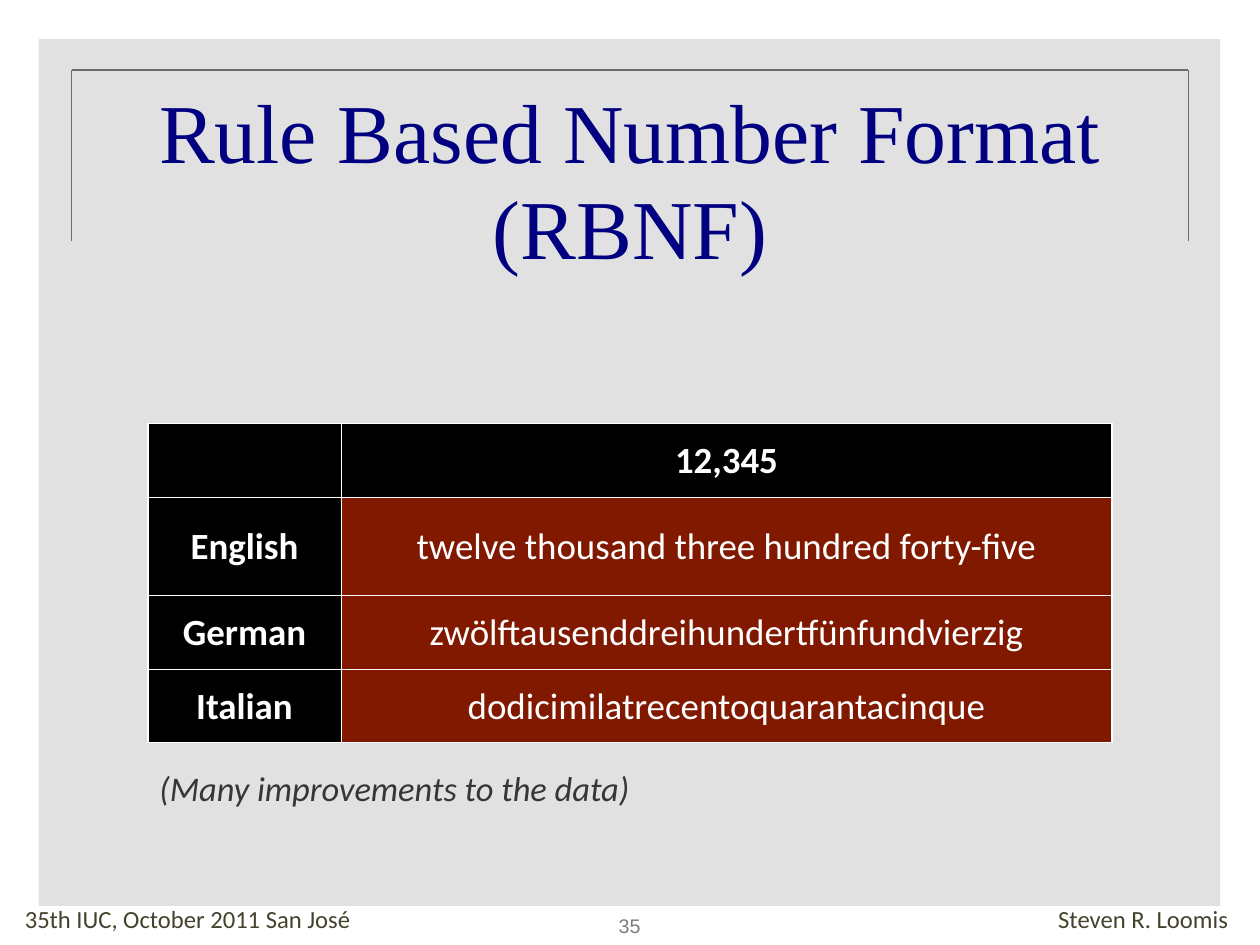
from lxml.etree import SubElement
from pptx import Presentation
from pptx.dml.color import RGBColor
from pptx.enum.shapes import MSO_CONNECTOR, MSO_SHAPE
from pptx.enum.text import MSO_ANCHOR, MSO_AUTO_SIZE, PP_ALIGN
from pptx.oxml.ns import qn
from pptx.util import Inches, Pt

TITLE = "Rule Based Number Format (RBNF)"
NUMBER_ROWS = [
    ("", "12,345"),
    ("English", "twelve thousand three hundred forty-five"),
    ("German", "zwölftausenddreihundertfünfundvierzig"),
    ("Italian", "dodicimilatrecentoquarantacinque"),
]
NOTE = "(Many improvements to the data)"
FOOTER = "35th IUC, October 2011 San José\tSteven R. Loomis"
PAGE_NUMBER = "35"

COLUMN_WIDTHS = (2.18, 8.7)
ROW_HEIGHTS = (0.83, 1.11, 0.83, 0.83)
FRAME_LEFT, FRAME_RIGHT, FRAME_TOP, FRAME_BOTTOM = 0.81, 13.41, 0.79, 2.72
FRAME_LINES = [
    (FRAME_LEFT, FRAME_BOTTOM, FRAME_LEFT, FRAME_TOP),
    (FRAME_RIGHT, FRAME_BOTTOM, FRAME_RIGHT, FRAME_TOP),
    (FRAME_RIGHT, FRAME_TOP, FRAME_LEFT, FRAME_TOP),
]

WHITE = RGBColor(0xFF, 0xFF, 0xFF)
BLACK = RGBColor(0x00, 0x00, 0x00)
NAVY = RGBColor(0x00, 0x00, 0x80)
DARK_RED = RGBColor(0x80, 0x19, 0x00)
PANEL_GRAY = RGBColor(0xB5, 0xB5, 0xB7)
FRAME_GRAY = RGBColor(0x6D, 0x6D, 0x6D)
NOTE_GRAY = RGBColor(0x36, 0x36, 0x36)
PAGE_GRAY = RGBColor(0x7E, 0x7E, 0x7E)
FOOTER_OLIVE = RGBColor(0x44, 0x42, 0x2C)


def set_font(paragraph, name, size, color, bold=False, italic=False):
    for run in paragraph.runs:
        font = run.font
        font.name, font.size = name, Pt(size)
        font.bold, font.italic = bold, italic
        font.color.rgb = color


def set_margins(item, horizontal, vertical):
    item.margin_left = item.margin_right = Inches(horizontal)
    item.margin_top = item.margin_bottom = Inches(vertical)


def add_text(slide, text, box):
    shape = slide.shapes.add_textbox(*map(Inches, box))
    shape.text_frame.word_wrap = True
    shape.text_frame.text = text
    return shape.text_frame


def add_panel(slide):
    panel = slide.shapes.add_shape(
        MSO_SHAPE.RECTANGLE, *map(Inches, (0.44, 0.44, 13.33, 9.78)))
    panel.shadow.inherit = False
    panel.fill.solid()
    panel.fill.fore_color.rgb = PANEL_GRAY
    panel.line.fill.background()
    color = panel.element.spPr.find(qn("a:solidFill")).find(qn("a:srgbClr"))
    SubElement(color, qn("a:alpha"), val="40000")


def add_frame(slide):
    for ends in FRAME_LINES:
        line = slide.shapes.add_connector(
            MSO_CONNECTOR.STRAIGHT, *map(Inches, ends))
        line.line.color.rgb = FRAME_GRAY
        line.line.width = Pt(1)
        SubElement(line.element.spPr, qn("a:effectLst"))


def add_footer(slide):
    frame = add_text(slide, FOOTER, (0.28, 10.14, 13.69, 0.44))
    set_margins(frame, 0, 0)
    frame.vertical_anchor = MSO_ANCHOR.MIDDLE
    paragraph = frame.paragraphs[0]
    tabs = SubElement(paragraph._p.get_or_add_pPr(), qn("a:tabLst"))
    SubElement(tabs, qn("a:tab"), pos=str(Inches(13.58)), algn="r")
    set_font(paragraph, "Calibri", 20, FOOTER_OLIVE)


def add_title(slide):
    title = slide.shapes.title
    title.left, title.top = Inches(1.14), Inches(0.92)
    title.width, title.height = Inches(11.94), Inches(2.29)
    title.element.getparent().append(title.element)
    frame = title.text_frame
    frame.text = TITLE
    frame.word_wrap = True
    frame.auto_size = MSO_AUTO_SIZE.NONE
    frame.vertical_anchor = MSO_ANCHOR.MIDDLE
    set_margins(frame, 0.06, 0.06)
    paragraph = frame.paragraphs[0]
    paragraph.alignment = PP_ALIGN.CENTER
    paragraph.line_spacing = 0.95
    set_font(paragraph, "Times New Roman", 68, NAVY)


def add_borders(cell):
    properties = cell._tc.get_or_add_tcPr()
    for side in ("lnL", "lnR", "lnT", "lnB"):
        border = SubElement(properties, qn(f"a:{side}"), w=str(Pt(1.13)))
        fill = SubElement(border, qn("a:solidFill"))
        SubElement(fill, qn("a:srgbClr"), val=str(WHITE))


def add_number_table(slide):
    box = (1.67, 4.78, sum(COLUMN_WIDTHS), sum(ROW_HEIGHTS))
    table = slide.shapes.add_table(
        len(ROW_HEIGHTS), len(COLUMN_WIDTHS), *map(Inches, box)).table
    table.horz_banding = False
    for column, width in zip(table.columns, COLUMN_WIDTHS):
        column.width = Inches(width)
    for row, height in zip(table.rows, ROW_HEIGHTS):
        row.height = Inches(height)
    for row_index, texts in enumerate(NUMBER_ROWS):
        for column_index, text in enumerate(texts):
            heading = row_index == 0 or column_index == 0
            cell = table.cell(row_index, column_index)
            cell.text = text
            cell.vertical_anchor = MSO_ANCHOR.MIDDLE
            set_margins(cell, 0.04, 0.05)
            add_borders(cell)
            cell.fill.solid()
            cell.fill.fore_color.rgb = BLACK if heading else DARK_RED
            paragraph = cell.text_frame.paragraphs[0]
            paragraph.alignment = PP_ALIGN.CENTER
            paragraph.line_spacing = 0.96
            set_font(paragraph, "Calibri", 30, WHITE, bold=heading)


def add_note(slide):
    frame = add_text(slide, NOTE, (1.7, 8.6, 11.5, 0.57))
    set_font(frame.paragraphs[0], "Calibri", 28, NOTE_GRAY, italic=True)


def add_page_number(slide):
    frame = add_text(slide, PAGE_NUMBER, (6.92, 10.26, 0.37, 0.37))
    set_margins(frame, 0, 0.05)
    frame.paragraphs[0].alignment = PP_ALIGN.CENTER
    set_font(frame.paragraphs[0], "Arial", 16, PAGE_GRAY)


def main():
    presentation = Presentation()
    presentation.slide_width = Inches(14.22)
    presentation.slide_height = Inches(10.66)
    slide = presentation.slides.add_slide(presentation.slide_layouts[5])
    add_panel(slide)
    add_frame(slide)
    add_footer(slide)
    add_title(slide)
    add_number_table(slide)
    add_note(slide)
    add_page_number(slide)
    presentation.save("out.pptx")


if __name__ == "__main__":
    main()
